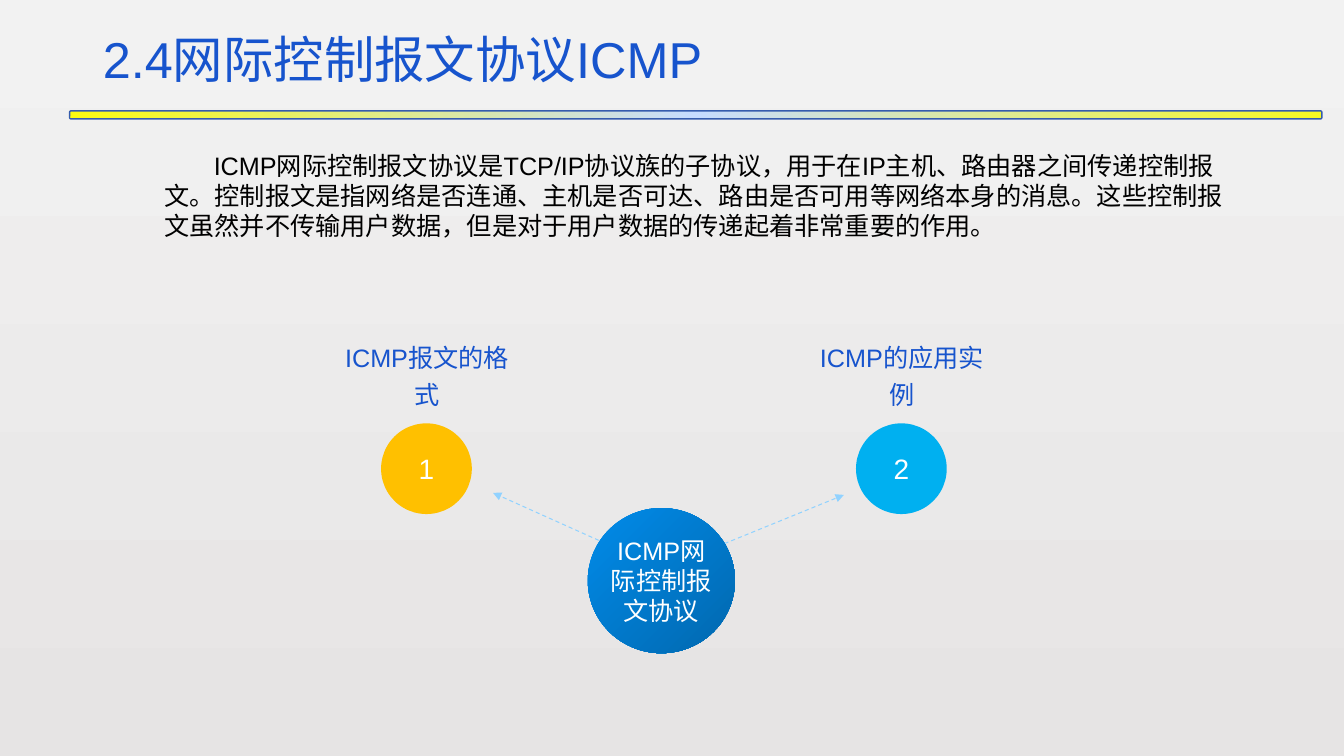
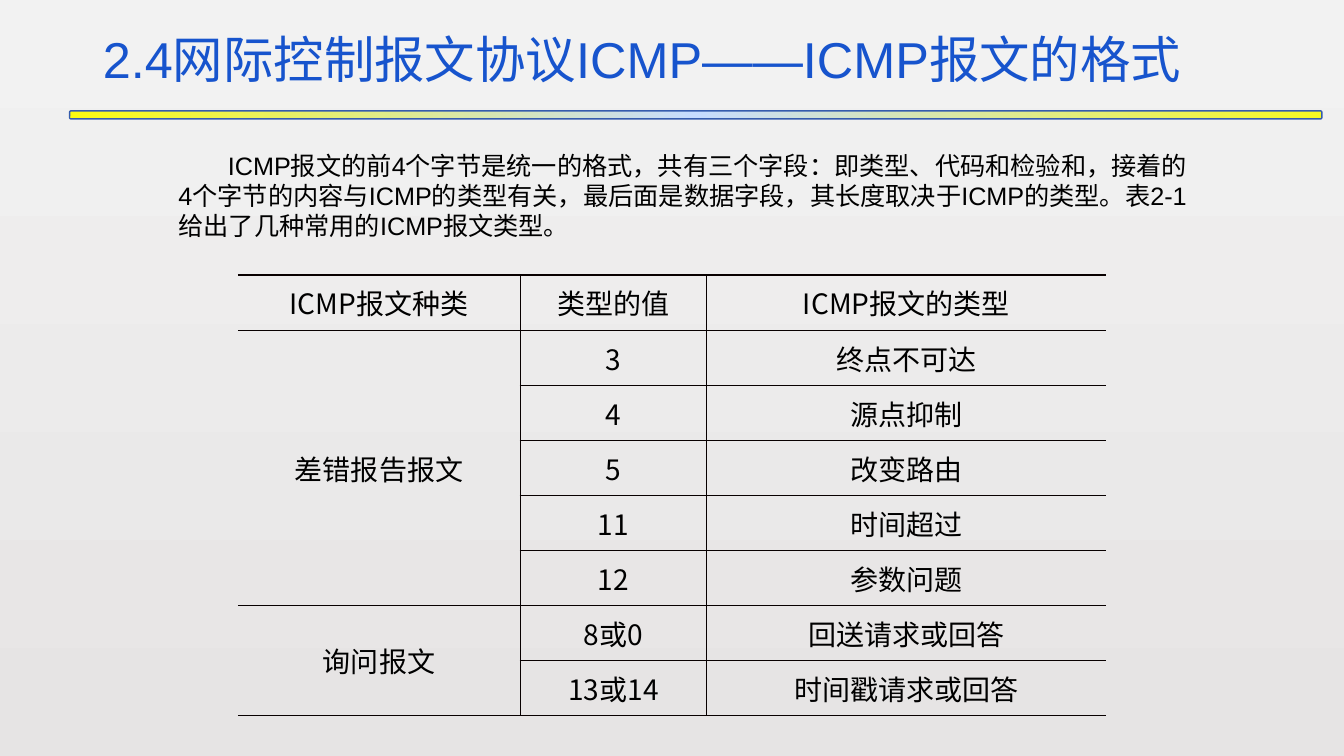
"""Build two slides on the ICMP protocol: an overview and the message types."""
from copy import deepcopy
from dataclasses import dataclass

from lxml import etree
from pptx import Presentation
from pptx import util as u
from pptx.dml.color import RGBColor
from pptx.enum import dml, shapes, text
from pptx.oxml import ns


@dataclass(frozen=True)
class Theme:
    latin: str = "Arial"
    chinese: str = "Noto Sans CJK SC"
    title_size: int = 36
    body_size: int = 18
    large_size: int = 20
    blue: str = "1754CD"
    black: str = "000000"
    white: str = "FFFFFF"
    amber: str = "FFC000"
    sky: str = "00B0F0"
    arrow: str = "91D2FF"
    rule_line: str = "355CAD"
    grid: str = "080000"
    background: tuple = ("F2F2F2", "E6E4E4")
    rule: tuple = ("FBFB11", "C6DCFF", "F7F923")
    hub: tuple = ("018BE9", "0168AF")


theme = Theme()


def write(frame, words, *, size=theme.body_size, color=theme.black, font=theme.latin,
          align=text.PP_ALIGN.CENTER, anchor=text.MSO_ANCHOR.MIDDLE, spacing=1.0,
          wrap=True, indent=0, margins=None):
    frame.text = words
    frame.word_wrap = wrap
    frame.auto_size = text.MSO_AUTO_SIZE.NONE
    frame.vertical_anchor = anchor
    if margins is not None:
        frame.margin_left = frame.margin_right = u.Inches(margins)
        frame.margin_top = frame.margin_bottom = 0
    paragraph = frame.paragraphs[0]
    paragraph.alignment = align
    paragraph.line_spacing = spacing
    paragraph.space_before = u.Pt(0)
    if indent:
        properties = paragraph._p.get_or_add_pPr()
        properties.set("marL", "0")
        properties.set("indent", str(u.Inches(indent)))
        etree.SubElement(properties, ns.qn("a:buNone"))
    run = paragraph.runs[0]
    run.font.size = u.Pt(size)
    run.font.name = font
    run.font.color.rgb = RGBColor.from_string(color)
    etree.SubElement(run.font._element, ns.qn("a:ea"), typeface=theme.chinese)


def shade(fill, holder, colors, angle):
    fill.gradient()
    fill.gradient_angle = angle
    stops = next(holder.iter(ns.qn("a:gsLst")))
    for _ in colors[2:]:
        stops.append(deepcopy(stops[0]))
    for index, (stop, color) in enumerate(zip(fill.gradient_stops, colors)):
        stop.color.rgb = RGBColor.from_string(color)
        stop.position = index / (len(colors) - 1)


prs = Presentation()
prs.slide_width, prs.slide_height = u.Inches(13.33), u.Inches(7.5)
layout = prs.slide_layouts[1]
shade(layout.background.fill, layout.element, theme.background, 270)

pages = [
    ("2.4网际控制报文协议ICMP", 1.53, 10.74,
     "ICMP网际控制报文协议是TCP/IP协议族的子协议，用于在IP主机、路由器之间传递控制报文。"
     "控制报文是指网络是否连通、主机是否可达、路由是否可用等网络本身的消息。"
     "这些控制报文虽然并不传输用户数据，但是对于用户数据的传递起着非常重要的作用。"),
    ("2.4网际控制报文协议ICMP——ICMP报文的格式", 1.67, 10.23,
     "ICMP报文的前4个字节是统一的格式，共有三个字段：即类型、代码和检验和，"
     "接着的4个字节的内容与ICMP的类型有关，最后面是数据字段，其长度取决于ICMP的类型。"
     "表2-1给出了几种常用的ICMP报文类型。"),
]
for heading, left, width, summary in pages:
    slide = prs.slides.add_slide(layout)
    title, intro = slide.placeholders
    title.left, title.top, title.width, title.height = map(u.Inches, (0.92, 0.07, 11.5, 0.87))
    write(title.text_frame, heading, size=theme.title_size, color=theme.blue,
          align=text.PP_ALIGN.LEFT, anchor=text.MSO_ANCHOR.BOTTOM, spacing=0.9)
    intro.left, intro.top, intro.width, intro.height = map(u.Inches, (left, 1.44, width, 1.01))
    write(intro.text_frame, summary, align=text.PP_ALIGN.LEFT,
          anchor=text.MSO_ANCHOR.TOP, indent=0.49)

overview, formats = prs.slides

rule = overview.shapes.add_shape(shapes.MSO_SHAPE.ROUNDED_RECTANGLE,
                                 *map(u.Inches, (0.69, 1.1, 12.42, 0.08)))
rule.shadow.inherit = False
shade(rule.fill, rule.element, theme.rule, 0)
rule.line.color.rgb = RGBColor.from_string(theme.rule_line)
rule.line.width = u.Pt(1)
layout.shapes.element.append(rule.element)

topics = [
    ("1", "ICMP报文的格式", 4.23, theme.amber, (6.07, 5.42, 4.89, 4.89)),
    ("2", "ICMP的应用实例", 8.94, theme.sky, (7.12, 5.42, 8.37, 4.91)),
]
for number, topic, center, color, ends in topics:
    arrow = overview.shapes.add_connector(shapes.MSO_CONNECTOR.STRAIGHT, *map(u.Inches, ends))
    arrow.line.color.rgb = RGBColor.from_string(theme.arrow)
    arrow.line.width = u.Pt(0.75)
    arrow.line.dash_style = dml.MSO_LINE.DASH
    etree.SubElement(arrow.line._get_or_add_ln(), ns.qn("a:tailEnd"), type="triangle")
    etree.SubElement(arrow.element.spPr, ns.qn("a:effectLst"))

    badge = overview.shapes.add_shape(shapes.MSO_SHAPE.OVAL,
                                      *map(u.Inches, (center - 0.45, 4.2, 0.9, 0.9)))
    badge.shadow.inherit = False
    badge.fill.solid()
    badge.fill.fore_color.rgb = RGBColor.from_string(color)
    badge.line.fill.background()
    write(badge.text_frame, number, size=theme.large_size, color=theme.white, wrap=False)

    label = overview.shapes.add_textbox(*map(u.Inches, (center - 1, 3.29, 2.01, 0.83)))
    write(label.text_frame, topic, color=theme.blue, anchor=text.MSO_ANCHOR.TOP, spacing=1.2)

hub = overview.shapes.add_shape(shapes.MSO_SHAPE.OVAL, *map(u.Inches, (5.83, 5.04, 1.46, 1.44)))
hub.shadow.inherit = False
shade(hub.fill, hub.element, theme.hub, 315)
hub.line.fill.background()
write(hub.text_frame, "ICMP网际控制报文协议", color=theme.white, margins=0)

rows = [
    ("ICMP报文种类", "类型的值", "ICMP报文的类型"),
    ("差错报告报文", "3", "终点不可达"),
    ("", "4", "源点抑制"),
    ("", "5", "改变路由"),
    ("", "11", "时间超过"),
    ("", "12", "参数问题"),
    ("询问报文", "8或0", "回送请求或回答"),
    ("", "13或14", "时间戳请求或回答"),
]
last_row, last_column = len(rows) - 1, len(rows[0]) - 1
types = formats.shapes.add_table(len(rows), len(rows[0]),
                                 *map(u.Inches, (2.36, 2.73, 8.61, 4.37))).table
types.first_row = types.horz_banding = False
no_style = "{2D5ABB26-0587-4C30-8999-92F81FD0307C}"
next(types._tbl.iter(ns.qn("a:tableStyleId"))).text = no_style
for column, width in zip(types.columns, (2.8, 1.85, 3.96)):
    column.width = u.Inches(width)
for first, last in ((1, 5), (6, 7)):
    types.cell(first, 0).merge(types.cell(last, 0))

for r, row in enumerate(rows):
    for c, words in enumerate(row):
        cell = types.cell(r, c)
        if words:
            write(cell.text_frame, words, size=theme.large_size, font=theme.chinese)
        cell.vertical_anchor = text.MSO_ANCHOR.MIDDLE
        cell.margin_left = cell.margin_right = u.Inches(0.07)
        cell.margin_top = cell.margin_bottom = 0
        borders = {
            "L": 1 if c > 0 else 0,
            "R": 1 if c < last_column else 0,
            "T": (1.5 if r == 0 else 1) if words else 0,
            "B": (1.5 if r == last_row else 1) if words else 0,
        }
        for side, weight in borders.items():
            if weight:
                border = etree.SubElement(cell._tc.get_or_add_tcPr(), ns.qn(f"a:ln{side}"),
                                          w=str(u.Pt(weight)))
                paint = etree.SubElement(border, ns.qn("a:solidFill"))
                etree.SubElement(paint, ns.qn("a:srgbClr"), val=theme.grid)
        cell.fill.background()

prs.save("out.pptx")
